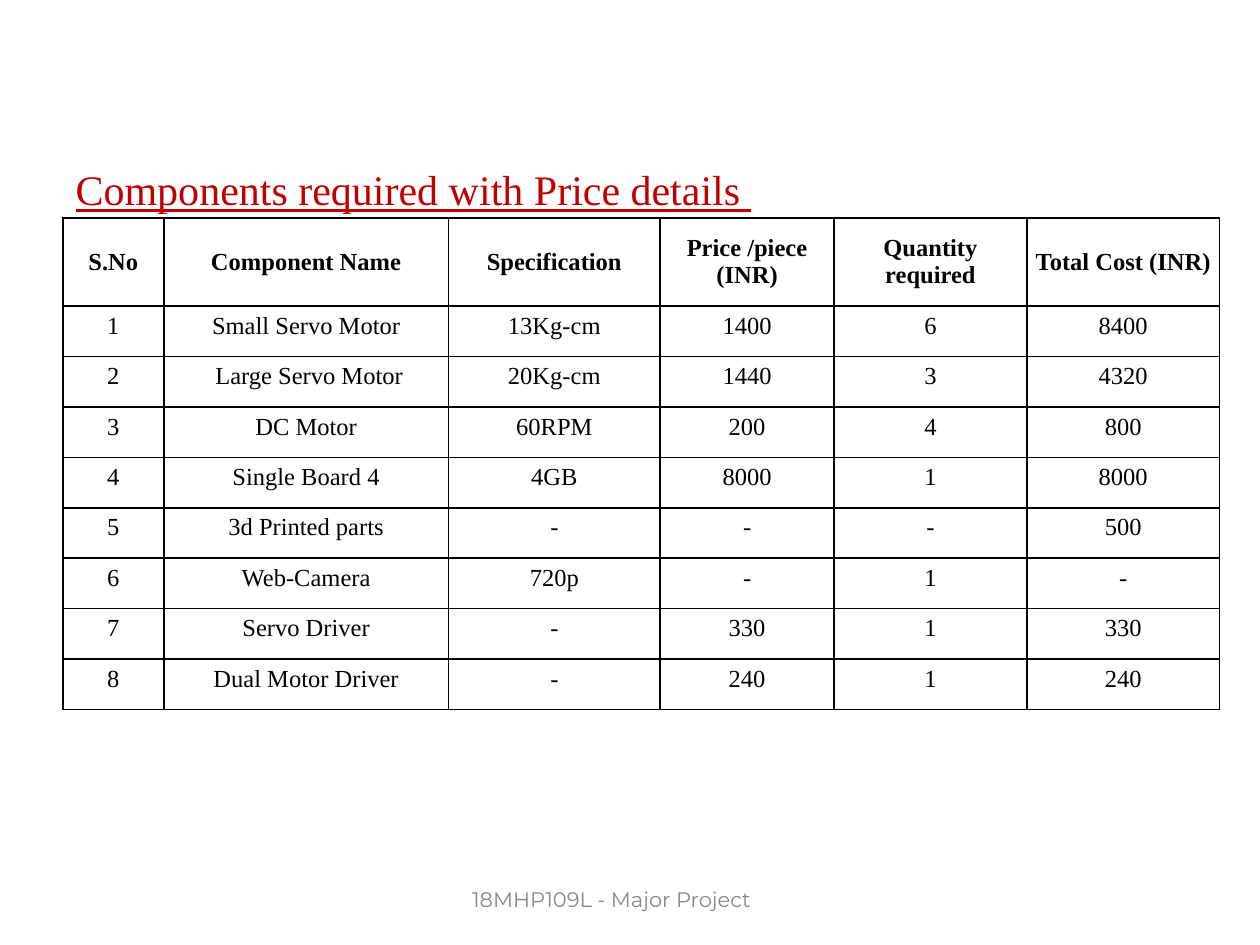
import pptx
import pptx.util
import pptx.dml.color
import pptx.enum.text
import pptx.oxml.ns
import lxml.etree

Inches = pptx.util.Inches
Pt = pptx.util.Pt
ALIGN = pptx.enum.text.PP_ALIGN
ANCHOR = pptx.enum.text.MSO_ANCHOR
SERIF = "Times New Roman"

# Content
TITLE = "Components required with Price details "
FOOTER = "18MHP109L - Major Project"
ROWS = [
    ("S.No", "Component Name", "Specification", "Price /piece (INR)",
     "Quantity required", "Total Cost (INR)"),
    ("1", "Small Servo Motor", "13Kg-cm", "1400", "6", "8400"),
    ("2", " Large Servo Motor", "20Kg-cm", "1440", "3", "4320"),
    ("3", "DC Motor", "60RPM", "200", "4", "800"),
    ("4", "Single Board 4", "4GB", "8000", "1", "8000"),
    ("5", "3d Printed parts", "-", "-", "-", "500"),
    ("6", "Web-Camera", "720p", "-", "1", "-"),
    ("7", "Servo Driver", "-", "330", "1", "330"),
    ("8", "Dual Motor Driver", "-", "240", "1", "240"),
]
WIDTHS = [0.8, 2.26, 1.68, 1.38, 1.53, 1.53]
HEIGHTS = [0.7] + [0.4] * (len(ROWS) - 1)


def color(code):
    return pptx.dml.color.RGBColor.from_string(code)


def inset(part):
    part.margin_left = part.margin_right = Inches(0.05)
    part.margin_top = part.margin_bottom = Inches(0.05)


def write(frame, text, size, face, code, align, bold=False, under=False):
    para = frame.paragraphs[0]
    para.alignment = align
    run = para.add_run()
    run.text = text
    font = run.font
    font.size, font.name = Pt(size), face
    font.bold, font.underline = bold, under
    font.color.rgb = color(code)
    return para


def label(box, anchor, *style, **extra):
    frame = slide.shapes.add_textbox(*map(Inches, box)).text_frame
    frame.word_wrap = True
    frame.vertical_anchor = anchor
    inset(frame)
    return write(frame, *style, **extra)


def border(cell, code, width):
    props = cell._tc.get_or_add_tcPr()
    qn = pptx.oxml.ns.qn
    for side in "LRTB":
        line = lxml.etree.SubElement(props, qn("a:ln" + side), w=str(Pt(width)))
        fill = lxml.etree.SubElement(line, qn("a:solidFill"))
        lxml.etree.SubElement(fill, qn("a:srgbClr"), val=code)


deck = pptx.Presentation()
deck.slide_width, deck.slide_height = Inches(10), Inches(7.5)
slide = deck.slides.add_slide(deck.slide_layouts[6])

# Title
title = label((0.55, 1.05, 9.29, 0.7), ANCHOR.TOP, TITLE, 24, SERIF, "C00000",
              ALIGN.LEFT, under=True)
title.line_spacing = 1.5

# Price table
grid = slide.shapes.add_table(
    len(ROWS), len(WIDTHS), Inches(0.5), Inches(1.73),
    Inches(sum(WIDTHS)), Inches(sum(HEIGHTS))).table
grid.first_row = grid.horz_banding = False
for col, width in zip(grid.columns, WIDTHS):
    col.width = Inches(width)
for r, (row, height) in enumerate(zip(ROWS, HEIGHTS)):
    grid.rows[r].height = Inches(height)
    for c, text in enumerate(row):
        cell = grid.cell(r, c)
        inset(cell)
        cell.vertical_anchor = ANCHOR.TOP if r else ANCHOR.MIDDLE
        border(cell, "000000", 0.96)
        cell.fill.background()
        write(cell.text_frame, text, 14, SERIF, "000000", ALIGN.CENTER,
              bold=r == 0)

# Footer
label((3.22, 6.99, 3.27, 0.3), ANCHOR.MIDDLE, FOOTER, 12, "Montserrat",
      "888888", ALIGN.CENTER)

deck.save("out.pptx")
